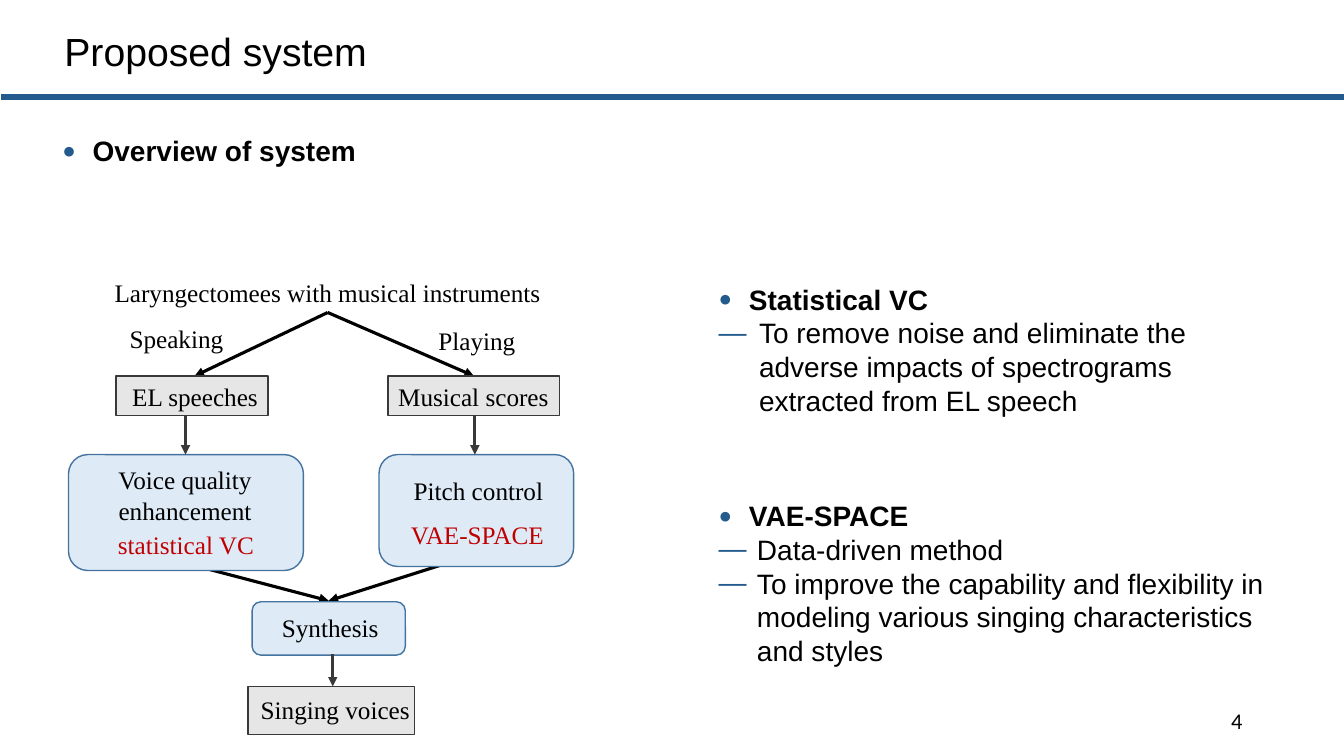
from lxml.etree import SubElement
from pptx import Presentation
from pptx.dml.color import RGBColor
from pptx.enum.shapes import MSO_CONNECTOR as Connector, MSO_SHAPE as Shape
from pptx.enum.text import MSO_ANCHOR as Anchor, PP_ALIGN as Align
from pptx.oxml.ns import qn
from pptx.util import Inches, Pt

BLACK = RGBColor(0x00, 0x00, 0x00)
BLUE = RGBColor(0x24, 0x5A, 0x8C)
RED = RGBColor(0xC0, 0x00, 0x00)
GREY = RGBColor(0xE7, 0xE6, 0xE6)
DARK = RGBColor(0x3B, 0x38, 0x38)
PALE = RGBColor(0xDE, 0xEB, 0xF7)
EDGE = RGBColor(0x43, 0x73, 0x9E)

TITLE = "Proposed system"
PAGE = "4"

DATA_BOXES = [
    (1.15, 3.73, 1.51, 0.39),
    (3.85, 3.73, 1.7, 0.39),
    (2.46, 6.81, 1.65, 0.48),
]
PROCESS_BOXES = [
    (0.68, 4.51, 2.33, 1.15),
    (3.76, 4.51, 1.93, 1.11),
    (2.5, 5.97, 1.52, 0.53),
]
BRANCHES = [
    ((3.25, 3.1), (1.93, 3.73)),
    ((3.25, 3.1), (4.7, 3.73)),
    ((1.85, 5.59), (3.26, 5.96)),
    ((4.74, 5.49), (3.26, 5.96)),
]
DROPS = [
    ((1.84, 4.12), (1.84, 4.51)),
    ((4.71, 4.13), (4.71, 4.51)),
    ((3.3, 6.49), (3.3, 6.81)),
]
LABELS = [
    ("Laryngectomees with musical instruments", (0.95, 2.7, 4.6, 0.4), BLACK),
    ("Speaking", (0.88, 3.16, 1.74, 0.4), BLACK),
    ("Playing", (4.13, 3.18, 1.2, 0.4), BLACK),
    ("EL speeches", (1.2, 3.73, 1.47, 0.4), BLACK),
    ("Musical scores", (3.67, 3.73, 2.05, 0.4), BLACK),
    ("Voice quality enhancement", (0.94, 4.56, 1.79, 0.71), BLACK),
    ("statistical VC", (0.68, 5.2, 2.33, 0.4), RED),
    ("Pitch control", (3.85, 4.67, 1.79, 0.4), BLACK),
    ("VAE-SPACE", (3.57, 5.1, 2.33, 0.4), RED),
    ("Synthesis", (2.38, 6.03, 1.79, 0.4), BLACK),
    ("Singing voices", (2.33, 6.84, 1.99, 0.4), BLACK),
]
TOPICS = [
    ("Overview of system", [], (0.52, 1.11, 9.97, 0.61), 0.3, 1.5),
    ("Statistical VC",
     ["To remove noise and eliminate the adverse impacts of spectrograms "
      "extracted from EL speech"],
     (7.03, 2.75, 5.66, 1.45), 0.4, None),
    ("VAE-SPACE",
     ["Data-driven method",
      "To improve the capability and flexibility in modeling various singing "
      "characteristics and styles"],
     (7.03, 4.9, 5.66, 1.78), 0.38, None),
]

deck = Presentation()
deck.slide_width, deck.slide_height = Inches(13.33), Inches(7.5)
slide = deck.slides.add_slide(deck.slide_layouts[6])


def add_bullet(paragraph, mark, indent, percent):
    props = paragraph._p.get_or_add_pPr()
    props.set("marL", str(Inches(indent)))
    props.set("indent", str(-Inches(indent)))
    colour = SubElement(props, qn("a:buClr"))
    SubElement(colour, qn("a:srgbClr"), val=str(BLUE))
    SubElement(props, qn("a:buSzPct"), val=str(percent * 1000))
    SubElement(props, qn("a:buFont"), typeface="Arial")
    SubElement(props, qn("a:buChar"), char=mark)


def write(text, place=None, frame=None, size=20, face="Arial", colour=BLACK,
          bold=False, align=Align.LEFT, anchor=Anchor.TOP, spacing=None,
          bullet=None):
    if frame is None:
        frame = slide.shapes.add_textbox(*map(Inches, place)).text_frame
        frame.word_wrap = True
        frame.vertical_anchor = anchor
        paragraph = frame.paragraphs[0]
    else:
        paragraph = frame.add_paragraph()
    if bullet:
        add_bullet(paragraph, *bullet)
    paragraph.alignment = align
    if spacing:
        paragraph.line_spacing = spacing
    run = paragraph.add_run()
    run.text = text
    run.font.size = Pt(size)
    run.font.name = face
    run.font.bold = bold
    run.font.color.rgb = colour
    return frame


def add_line(start, end, colour, width, arrow=True):
    line = slide.shapes.add_connector(
        Connector.STRAIGHT, *map(Inches, (*start, *end)))
    line.line.color.rgb = colour
    line.line.width = Pt(width)
    if arrow:
        SubElement(line.line._get_or_add_ln(), qn("a:tailEnd"), type="triangle")
    SubElement(line._element.spPr, qn("a:effectLst"))


def add_box(kind, place, fill, edge):
    box = slide.shapes.add_shape(kind, *map(Inches, place))
    box.shadow.inherit = False
    box.fill.solid()
    box.fill.fore_color.rgb = fill
    box.line.color.rgb = edge
    box.line.width = Pt(1)


write(PAGE, (9.42, 6.95, 3, 0.4), size=16, face="Calibri",
      align=Align.RIGHT, anchor=Anchor.MIDDLE)
add_line((0.01, 0.96), (13.33, 0.96), BLUE, 4.5, arrow=False)
write(TITLE, (0.54, 0.19, 9.12, 0.68), size=28, anchor=Anchor.MIDDLE, spacing=0.9)

for start, end in BRANCHES:
    add_line(start, end, BLACK, 2.25)
for place in DATA_BOXES:
    add_box(Shape.RECTANGLE, place, GREY, DARK)
for place in PROCESS_BOXES:
    add_box(Shape.ROUNDED_RECTANGLE, place, PALE, EDGE)
for start, end in DROPS:
    add_line(start, end, DARK, 2.25)
for label, place, colour in LABELS:
    write(label, place, size=18, face="Times New Roman", colour=colour,
          align=Align.CENTER)

for heading, points, place, indent, spacing in TOPICS:
    topic = write(heading, place, bold=True, spacing=spacing, bullet=("●", 0.3, 80))
    for point in points:
        write(point, frame=topic, bullet=("―", indent, 100))

deck.save("out.pptx")
